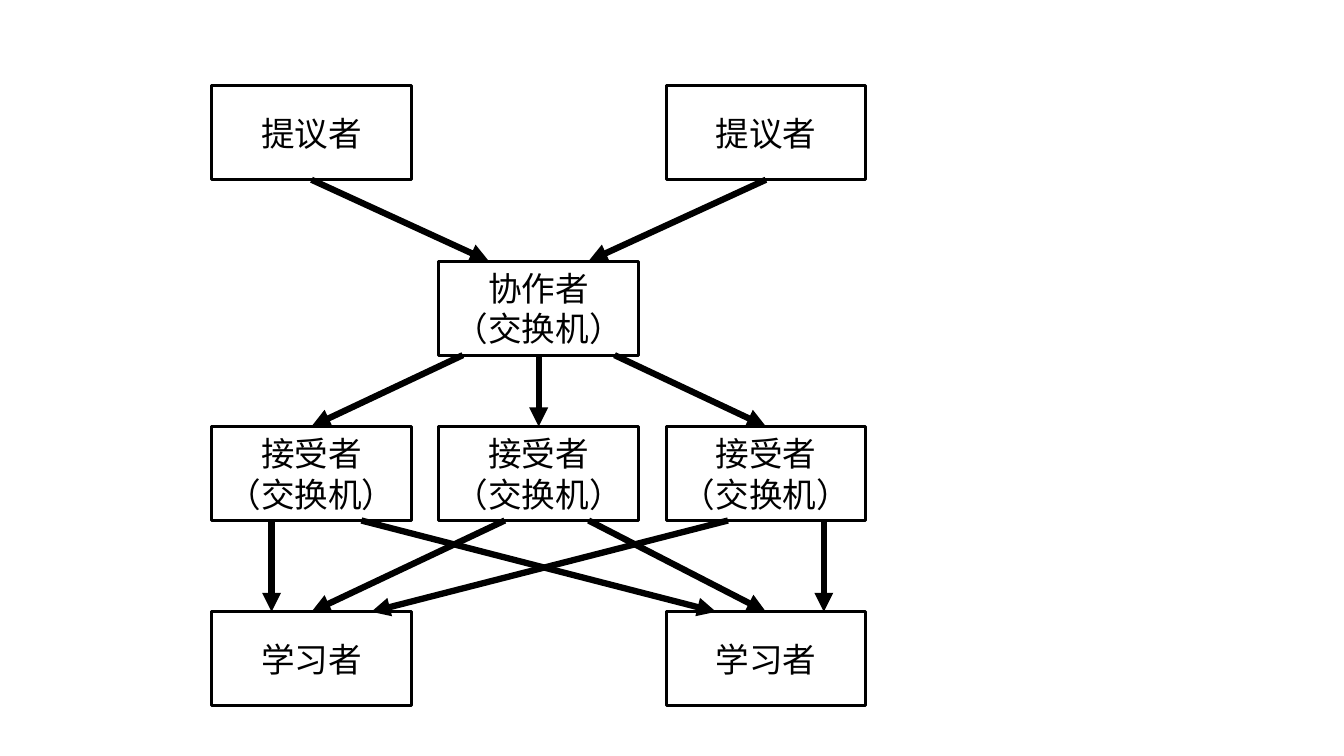
from lxml import etree
from pptx import Presentation
from pptx import util as u
from pptx.dml.color import RGBColor
from pptx.enum import shapes, text
from pptx.oxml.ns import qn

BLACK = RGBColor(0, 0, 0)

# Grid of roles, in points
LEFT, COL_STEP = 151.2, 162.3
BOX_W, BOX_H = 142.6, 67.2
PROPOSER, COORDINATOR, ACCEPTOR, LEARNER = 61.2, 186.5, 304.6, 437


def write(tf, content, font="Calibri", size=24, color=BLACK,
          align=text.PP_ALIGN.CENTER, anchor=text.MSO_ANCHOR.MIDDLE):
    tf.word_wrap = True
    tf.vertical_anchor = anchor
    for i, line in enumerate(content.split("\n")):
        p = tf.paragraphs[0] if i == 0 else tf.add_paragraph()
        p.alignment = align
        r = p.add_run()
        r.text = line
        r.font.name, r.font.size = font, u.Pt(size)
        r.font.color.rgb = color


class Diagram:
    box_line, arrow_line, color = 2.25, 4.5, BLACK

    def __init__(self, s):
        self.s = s

    def box(self, col, top, content):
        sp = self.s.shapes.add_shape(
            shapes.MSO_SHAPE.RECTANGLE, u.Pt(LEFT + col * COL_STEP), u.Pt(top),
            u.Pt(BOX_W), u.Pt(BOX_H))
        sp.shadow.inherit = False
        sp.fill.background()
        sp.line.color.rgb = self.color
        sp.line.width = u.Pt(self.box_line)
        write(sp.text_frame, content)

    def arrow(self, start, end):
        """Join a bottom edge to a top edge; each end is (column, share of width, row top)."""
        (col1, share1, top1), (col2, share2, top2) = start, end
        x1 = LEFT + col1 * COL_STEP + share1 * BOX_W
        x2 = LEFT + col2 * COL_STEP + share2 * BOX_W
        c = self.s.shapes.add_connector(
            shapes.MSO_CONNECTOR.STRAIGHT,
            u.Pt(x1), u.Pt(top1 + BOX_H), u.Pt(x2), u.Pt(top2))
        c.line.color.rgb = self.color
        c.line.width = u.Pt(self.arrow_line)
        etree.SubElement(c.line._get_or_add_ln(), qn("a:tailEnd"), type="triangle")
        etree.SubElement(c._element.spPr, qn("a:effectLst"))


prs = Presentation()
prs.slide_width, prs.slide_height = u.Pt(960), u.Pt(540)
s = prs.slides.add_slide(prs.slide_layouts[6])
d = Diagram(s)

# Boxes
for col in (0, 2):
    d.box(col, PROPOSER, "提议者")
d.box(1, COORDINATOR, "协作者\n（交换机）")
for col in range(3):
    d.box(col, ACCEPTOR, "接受者\n（交换机）")
for col in (0, 2):
    d.box(col, LEARNER, "学习者")

# Proposers to coordinator
for col, share in ((0, 0.25), (2, 0.75)):
    d.arrow((col, 0.5, PROPOSER), (1, share, COORDINATOR))

# Coordinator to acceptors
for col, share in enumerate((0.12, 0.5, 0.88)):
    d.arrow((1, share, COORDINATOR), (col, 0.5, ACCEPTOR))

# Every acceptor to both learners
for col, share, learner, end_share in (
        (0, 0.3, 0, 0.3), (0, 0.75, 2, 0.25),
        (1, 0.33, 0, 0.5), (1, 0.75, 2, 0.5),
        (2, 0.31, 0, 0.8), (2, 0.79, 2, 0.79)):
    d.arrow((col, share, ACCEPTOR), (learner, end_share, LEARNER))

prs.save("out.pptx")
